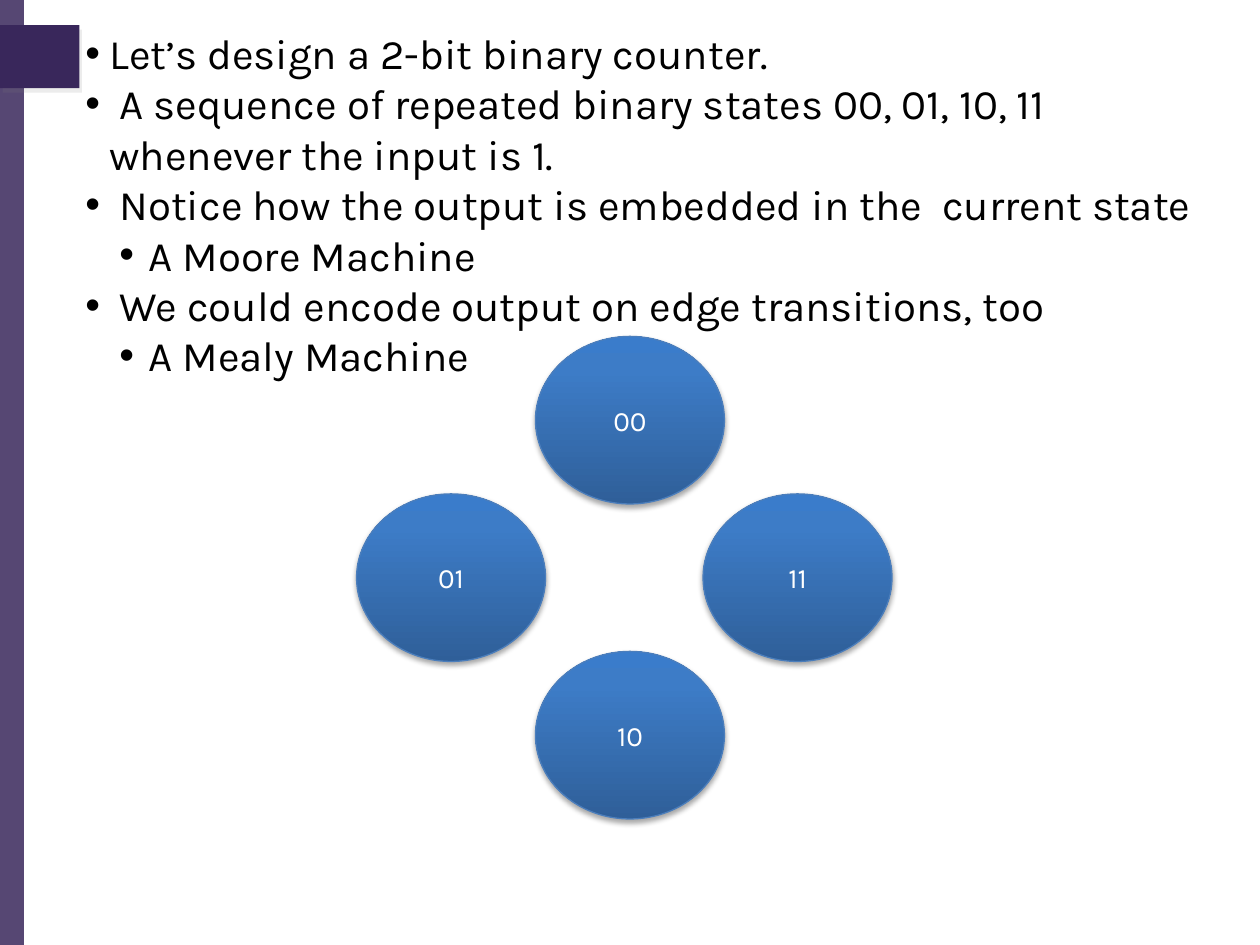
from lxml import etree
from pptx import Presentation
from pptx.dml.color import RGBColor
from pptx.enum.shapes import MSO_SHAPE as Shape
from pptx.enum.text import MSO_ANCHOR as Anchor, MSO_AUTO_SIZE as AutoSize, PP_ALIGN as Align
from pptx.oxml import parse_xml
from pptx.oxml.ns import qn
from pptx.util import Inches, Pt

COLORS = {
    "accent": "39275B",
    "band_shadow": "808080",
    "text": "000000",
    "state_text": "FFFFFF",
    "state_line": "4B7EBC",
    "state_shadow": "000000",
    "state_bottom": "2F5F99",
    "state_middle": "3D7CC7",
    "state_top": "3A7CCB",
}
FONT = "Karla"
NAMESPACE = 'xmlns:a="http://schemas.openxmlformats.org/drawingml/2006/main"'

# Level, text
POINTS = [
    (0, "Let’s design a 2-bit binary counter."),
    (0, " A sequence of repeated binary states 00, 01, 10, 11 whenever the input is 1."),
    (0, " Notice how the output is embedded in the  current state"),
    (1, "A Moore Machine"),
    (0, " We could encode output on edge transitions, too"),
    (1, "A Mealy Machine"),
]
# Left margin and hanging indent of each level, in inches
INDENTS = [(0.19, -0.19), (0.5, -0.23)]

STATE_WIDTH, STATE_HEIGHT = 1.5, 1.33
STATE_TOP, STATE_STEP = 2.67, 1.25
# Label, left edge, row
STATES = [("00", 4.25, 0), ("11", 5.58, 1), ("01", 2.83, 1), ("10", 4.25, 2)]


def color(name):
    return RGBColor.from_string(COLORS[name])


def style_font(paragraph, size, color_name):
    for run in paragraph.runs:
        run.font.size = Pt(size)
        run.font.name = FONT
        run.font.color.rgb = color(color_name)


def add_shadow(shape, color_name, alpha, blur, distance, angle):
    """Give the shape an outer shadow; alpha in percent, lengths in points."""
    shape.shadow.inherit = False
    effects = shape._element.spPr.find(qn("a:effectLst"))
    effects.append(parse_xml(
        f'<a:outerShdw {NAMESPACE} blurRad="{Pt(blur)}" dist="{Pt(distance)}" '
        f'dir="{angle * 60000}" rotWithShape="0"><a:srgbClr val="{COLORS[color_name]}">'
        f'<a:alpha val="{alpha * 1000}"/></a:srgbClr></a:outerShdw>'))


def add_band(slide, top, width, height):
    """Add an accent rectangle at the left edge of the slide."""
    band = slide.shapes.add_shape(
        Shape.RECTANGLE, 0, Inches(top), Inches(width), Inches(height))
    band.shadow.inherit = False
    band.fill.solid()
    band.fill.fore_color.rgb = color("accent")
    band.line.fill.background()
    return band


def set_opacity(shape, percent):
    fill_color = shape._element.spPr.find(qn("a:solidFill"))[0]
    etree.SubElement(fill_color, qn("a:alpha")).set("val", str(percent * 1000))


def add_bullet(paragraph, level):
    margin, indent = INDENTS[level]
    paragraph.level = level
    properties = paragraph._p.get_or_add_pPr()
    properties.set("marL", str(Inches(margin)))
    properties.set("indent", str(Inches(indent)))
    etree.SubElement(properties, qn("a:buFont")).set("typeface", "Arial")
    etree.SubElement(properties, qn("a:buChar")).set("char", "•")


def add_points(slide):
    box = slide.shapes.add_textbox(Inches(0.58), Inches(0.17), Inches(9.17), Inches(3.13))
    frame = box.text_frame
    frame.word_wrap = True
    frame.auto_size = AutoSize.SHAPE_TO_FIT_TEXT
    frame.text = "\n".join(text for _, text in POINTS)
    for paragraph, (level, _) in zip(frame.paragraphs, POINTS):
        add_bullet(paragraph, level)
        style_font(paragraph, 24, "text")


def fill_gradient(shape):
    stops = "".join(
        f'<a:gs pos="{position * 1000}"><a:srgbClr val="{COLORS[name]}"/></a:gs>'
        for position, name in [(0, "state_bottom"), (80, "state_middle"), (100, "state_top")])
    shape.fill.background()
    properties = shape._element.spPr
    properties.replace(properties.find(qn("a:noFill")), parse_xml(
        f'<a:gradFill {NAMESPACE} rotWithShape="1"><a:gsLst>{stops}</a:gsLst>'
        f'<a:lin ang="{270 * 60000}" scaled="0"/></a:gradFill>'))


def add_state(slide, label, left, row):
    state = slide.shapes.add_shape(
        Shape.OVAL, Inches(left), Inches(STATE_TOP + row * STATE_STEP),
        Inches(STATE_WIDTH), Inches(STATE_HEIGHT))
    fill_gradient(state)
    state.line.color.rgb = color("state_line")
    state.line.width = Pt(0.75)
    add_shadow(state, "state_shadow", alpha=35, blur=3.1, distance=1.8, angle=90)
    frame = state.text_frame
    frame.text = label
    frame.vertical_anchor = Anchor.MIDDLE
    frame.paragraphs[0].alignment = Align.CENTER
    style_font(frame.paragraphs[0], 16, "state_text")


def main():
    presentation = Presentation()
    presentation.slide_width = Inches(10)
    presentation.slide_height = Inches(7.5)
    slide = presentation.slides.add_slide(presentation.slide_layouts[6])

    side_band = add_band(slide, top=0, width=0.19, height=7.5)
    set_opacity(side_band, 85)
    tab = add_band(slide, top=0.2, width=0.63, height=0.5)
    add_shadow(tab, "band_shadow", alpha=15, blur=0, distance=3, angle=60)

    add_points(slide)
    for label, left, row in STATES:
        add_state(slide, label, left, row)

    presentation.save("out.pptx")


if __name__ == "__main__":
    main()
